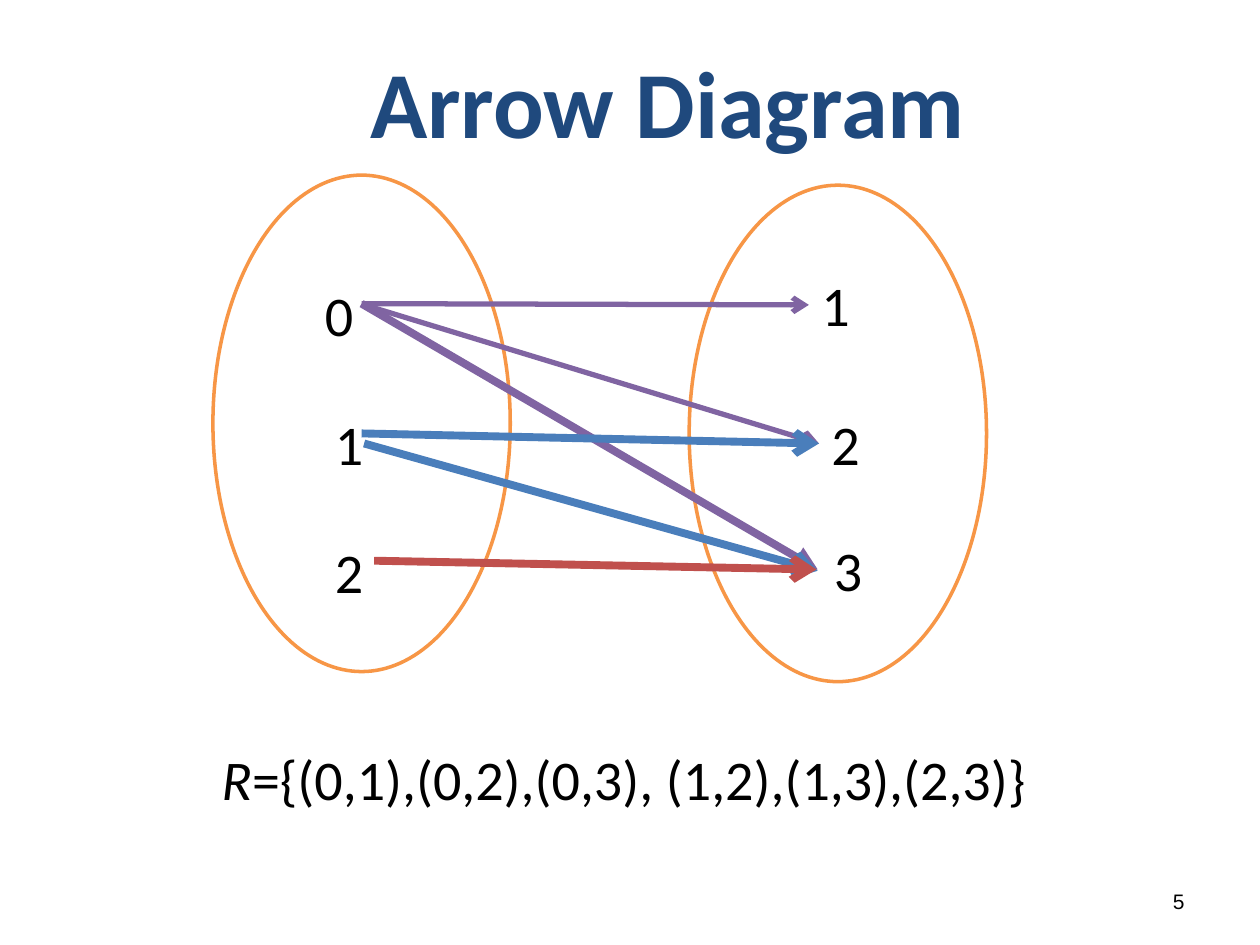
from lxml import etree
from pptx import Presentation
from pptx.dml.color import RGBColor
from pptx.enum.shapes import MSO_CONNECTOR, MSO_SHAPE
from pptx.enum.text import MSO_ANCHOR, PP_ALIGN
from pptx.oxml.ns import qn
from pptx.util import Inches, Pt

# Content
COLORS = {"title": "1F497D", "text": "000000", "set": "F79646", "paper": "FFFFFF",
          "purple": "8064A2", "blue": "4A7EBB", "red": "C0504D"}
TITLE = [("Arrow Diagram", False)]
RELATION = [("R", True), ("={(0,1),(0,2),(0,3), (1,2),(1,3),(2,3)}", False)]
PAGE_NUMBER = [("5", False)]

# Layout in inches
SLIDE_SIZE = (10, 7.5)
SET_SIZE = (2.36, 3.94)
SET_CORNERS = [(1.69, 1.39), (5.47, 1.47)]
LABEL_HEIGHT = 0.64

# Elements of each set: label, left, top, width
ELEMENTS = [
    ("0", 2.48, 2.18, 0.86), ("1", 2.56, 3.2, 0.47), ("2", 2.56, 4.22, 0.55),
    ("1", 6.42, 2.1, 0.79), ("2", 6.5, 3.2, 0.63), ("3", 6.52, 4.2, 0.42),
]

# Pairs of the relation: start, end, color, line width, arrowhead
ARROWS = [
    ((2.87, 2.41), (6.42, 2.42), "purple", 3, "arrow"),
    ((2.89, 2.42), (6.5, 3.52), "purple", 3, "arrow"),
    ((2.87, 2.41), (6.49, 4.52), "purple", 4.5, "triangle"),
    ((2.87, 3.44), (6.5, 3.52), "blue", 4.5, "arrow"),
    ((2.89, 3.52), (6.49, 4.53), "blue", 4.5, "arrow"),
    ((2.97, 4.45), (6.48, 4.52), "red", 4.5, "arrow"),
]


def color(name):
    return RGBColor.from_string(COLORS[name])


def add_text(page, runs, area, size=32, font="Calibri", shade="text", bold=False,
             align=PP_ALIGN.LEFT, anchor=MSO_ANCHOR.TOP):
    box = page.shapes.add_textbox(*map(Inches, area))
    frame = box.text_frame
    frame.word_wrap = True
    frame.vertical_anchor = anchor
    para = frame.paragraphs[0]
    para.alignment = align
    for text, italic in runs:
        span = para.add_run()
        span.text = text
        span.font.name = font
        span.font.size = Pt(size)
        span.font.bold = bold
        span.font.italic = italic
        span.font.color.rgb = color(shade)


def add_set(page, corner):
    oval = page.shapes.add_shape(MSO_SHAPE.OVAL, *map(Inches, corner + SET_SIZE))
    oval.shadow.inherit = False
    oval.fill.solid()
    oval.fill.fore_color.rgb = color("paper")
    oval.line.color.rgb = color("set")
    oval.line.width = Pt(2)


def add_arrow(page, start, end, shade, width, head):
    arrow = page.shapes.add_connector(MSO_CONNECTOR.STRAIGHT, *map(Inches, start + end))
    arrow.line.color.rgb = color(shade)
    arrow.line.width = Pt(width)
    etree.SubElement(arrow.line._get_or_add_ln(), qn("a:tailEnd"), type=head)
    etree.SubElement(arrow._element.spPr, qn("a:effectLst"))


def main():
    deck = Presentation()
    deck.slide_width, deck.slide_height = map(Inches, SLIDE_SIZE)
    page = deck.slides.add_slide(deck.slide_layouts[6])

    # Page number
    add_text(page, PAGE_NUMBER, (7.17, 6.95, 2.33, 0.4), size=12, font="Arial",
             align=PP_ALIGN.RIGHT, anchor=MSO_ANCHOR.MIDDLE)

    # Two sets with their elements
    for corner in SET_CORNERS:
        add_set(page, corner)
    for label, left, top, width in ELEMENTS:
        add_text(page, [(label, False)], (left, top, width, LABEL_HEIGHT))

    # Arrows between related elements
    for arrow in ARROWS:
        add_arrow(page, *arrow)

    # Title and the relation as a set of pairs
    add_text(page, TITLE, (2.84, 0.3, 7.16, 1.25), size=54, shade="title", bold=True)
    add_text(page, RELATION, (1.66, 5.86, 6.69, LABEL_HEIGHT))

    deck.save("out.pptx")


if __name__ == "__main__":
    main()
